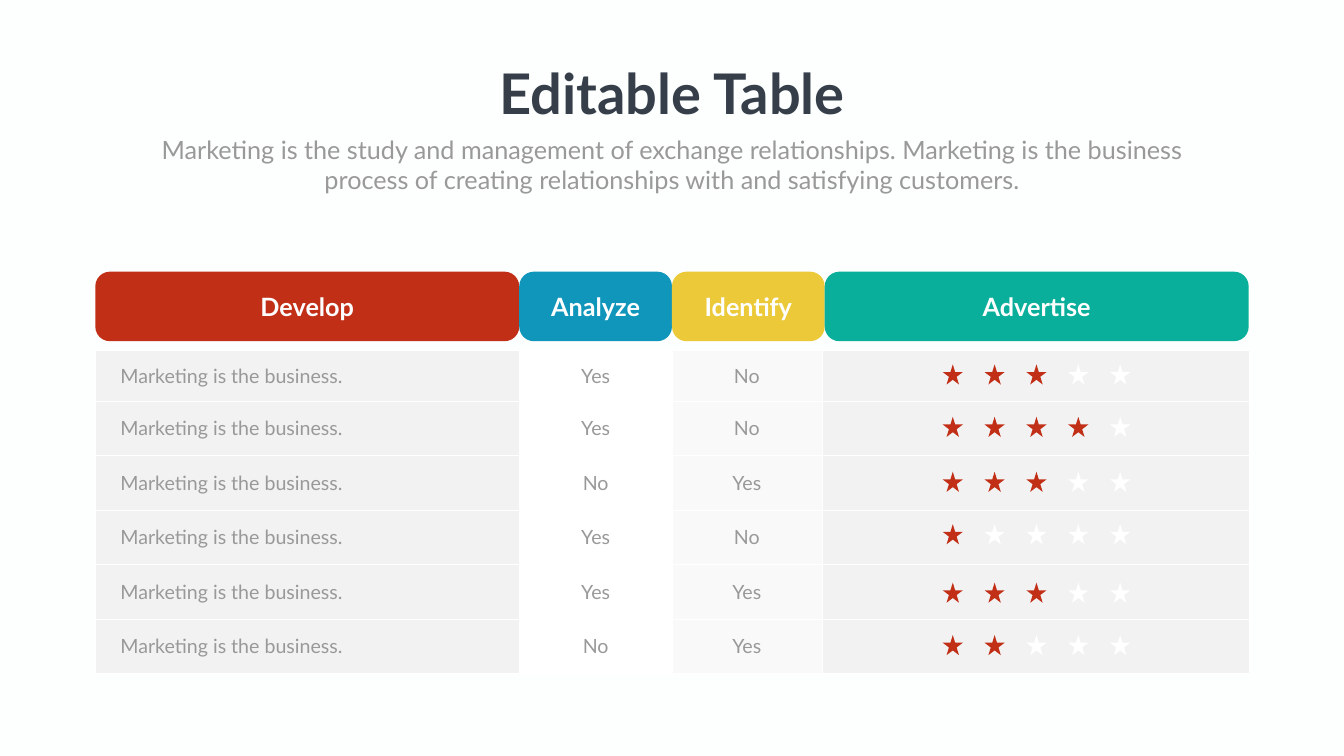
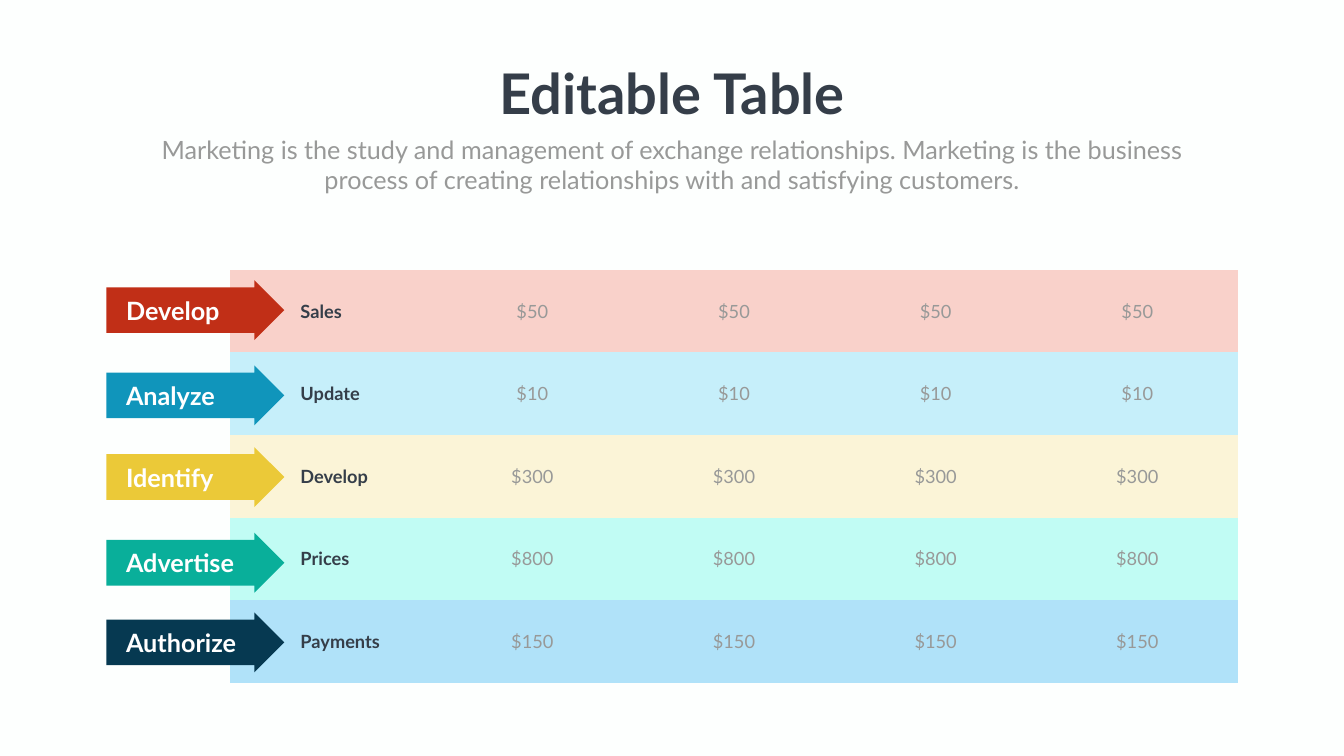
import dataclasses
import lxml.etree
import pptx
import pptx.dml.color
import pptx.enum.shapes
import pptx.enum.text
import pptx.oxml.ns
import pptx.util

Inches = pptx.util.Inches
Align = pptx.enum.text.PP_ALIGN
Shape = pptx.enum.shapes.MSO_SHAPE


@dataclasses.dataclass(frozen=True)
class Theme:
    font: str = "Lato"
    background: str = "FDFFFE"
    dark: str = "353E49"
    gray: str = "989998"
    white: str = "FFFFFF"
    red: str = "C12F17"
    blue: str = "1095BB"
    yellow: str = "EBC938"
    teal: str = "09AF9A"
    navy: str = "063951"
    panel: str = "F2F2F2"
    light_panel: str = "F9F9F9"
    title_size: int = 80
    label_size: int = 36
    rating_size: int = 28
    price_size: int = 26
    plain_table: str = "{2D5ABB26-0587-4C30-8999-92F81FD0307C}"


theme = Theme()


def write(frame, text, size, color, bold=False, align=Align.CENTER):
    paragraph = frame.paragraphs[0]
    paragraph.text = text
    paragraph.alignment = align
    paragraph.space_before = pptx.util.Pt(0)
    paragraph.font.name = theme.font
    paragraph.font.size = pptx.util.Pt(size)
    paragraph.font.bold = bold
    paragraph.font.color.rgb = pptx.dml.color.RGBColor.from_string(color)


def add_filled(slide, kind, left, top, width, height, color):
    shape = slide.shapes.add_shape(
        kind, Inches(left), Inches(top), Inches(width), Inches(height))
    shape.shadow.inherit = False
    shape.fill.solid()
    shape.fill.fore_color.rgb = pptx.dml.color.RGBColor.from_string(color)
    shape.line.fill.background()
    return shape


deck = pptx.Presentation()
deck.slide_width = Inches(26.66)
deck.slide_height = Inches(15)
backdrop = deck.slide_master.background.fill
backdrop.solid()
backdrop.fore_color.rgb = pptx.dml.color.RGBColor.from_string(theme.background)

summary = ("Marketing is the study and management of exchange relationships. "
           "Marketing is the business process of creating relationships with "
           "and satisfying customers.")
features = [
    ("Yes", "No", 3, 7.23),
    ("Yes", "No", 4, 8.27),
    ("No", "Yes", 3, 9.36),
    ("Yes", "No", 1, 10.4),
    ("Yes", "Yes", 3, 11.56),
    ("No", "Yes", 2, 12.6),
]
prices = [
    ("Develop", theme.red, 5.56, "Sales", "$50", "F9D1CA"),
    ("Analyze", theme.blue, 7.25, "Update", "$10", "C6EFFA"),
    ("Identify", theme.yellow, 8.87, "Develop", "$300", "FBF4D7"),
    ("Advertise", theme.teal, 10.57, "Prices", "$800", "C1FCF4"),
    ("Authorize", theme.navy, 12.15, "Payments", "$150", "B0E2F9"),
]
grids = [
    (1.89, 6.94, [8.41, 3.03, 2.97, 8.47], [1.02] + [1.08] * 5),
    (4.56, 5.35, [4] * 5, [1.64] * 5),
]

slides, tables = [], []
for left, top, widths, heights in grids:
    slide = deck.slides.add_slide(deck.slide_layouts[0])
    title, subtitle = slide.placeholders
    for holder, text, size, color, bold, box in [
        (title, "Editable Table", theme.title_size, theme.dark, True, (9.66, 1.12, 7.35, 1.45)),
        (subtitle, summary, theme.label_size, theme.gray, False, (2.92, 2.61, 20.82, 1.31)),
    ]:
        holder.left, holder.top, holder.width, holder.height = map(Inches, box)
        holder.text_frame.auto_size = pptx.enum.text.MSO_AUTO_SIZE.NONE
        holder.text_frame.vertical_anchor = pptx.enum.text.MSO_ANCHOR.TOP
        holder.text_frame.word_wrap = holder is subtitle
        write(holder.text_frame, text, size, color, bold)

    table = slide.shapes.add_table(
        len(heights), len(widths), Inches(left), Inches(top),
        Inches(sum(widths)), Inches(sum(heights))).table
    table.first_row = table.horz_banding = False
    table._tbl.tblPr.find(pptx.oxml.ns.qn("a:tableStyleId")).text = theme.plain_table
    for column, width in zip(table.columns, widths):
        column.width = Inches(width)
    for row, height in zip(table.rows, heights):
        row.height = Inches(height)
    for cell in table.iter_cells():
        cell.vertical_anchor = pptx.enum.text.MSO_ANCHOR.MIDDLE
    slides.append(slide)
    tables.append(table)

feature_slide, price_slide = slides
feature_table, price_table = tables

column_fills = [theme.panel, theme.white, theme.light_panel, theme.panel]
for row, (analyze, identify, rating, star_top) in enumerate(features):
    texts = ["Marketing is the business.", analyze, identify, ""]
    for column, (text, fill) in enumerate(zip(texts, column_fills)):
        cell = feature_table.cell(row, column)
        for side in ("lnL", "lnR", "lnT", "lnB"):
            weight = 1 if column == 0 and side == "lnL" else 0.5
            border = lxml.etree.SubElement(
                cell._tc.get_or_add_tcPr(), pptx.oxml.ns.qn(f"a:{side}"),
                w=str(pptx.util.Pt(weight)))
            paint = lxml.etree.SubElement(border, pptx.oxml.ns.qn("a:solidFill"))
            lxml.etree.SubElement(paint, pptx.oxml.ns.qn("a:srgbClr"), val=theme.white)
        cell.fill.solid()
        cell.fill.fore_color.rgb = pptx.dml.color.RGBColor.from_string(fill)
        if text:
            write(cell.text_frame, text, theme.rating_size, theme.gray,
                  align=Align.CENTER if column else Align.LEFT)
    feature_table.cell(row, 0).margin_left = Inches(0.5)
    for position in range(5):
        add_filled(feature_slide, Shape.STAR_5_POINT, 18.7 + 0.83 * position, star_top,
                   0.4, 0.4, theme.red if position < rating else theme.white)

header_left = 1.89
for (name, color, *_), width in zip(prices, [8.41, 3.03, 3.03, 8.41]):
    header = add_filled(feature_slide, Shape.ROUNDED_RECTANGLE,
                        header_left, 5.39, width, 1.38, color)
    header.adjustments[0] = 0.21
    write(header.text_frame, name, theme.label_size, theme.white, True)
    header_left += width

for row, (name, color, arrow_top, item, price, tint) in enumerate(prices):
    for column, text in enumerate([item] + [price] * 4):
        cell = price_table.cell(row, column)
        cell.fill.solid()
        cell.fill.fore_color.rgb = pptx.dml.color.RGBColor.from_string(tint)
        if column == 0:
            cell.margin_left = Inches(1.4)
            write(cell.text_frame, text, theme.price_size, theme.dark, True, Align.LEFT)
        else:
            write(cell.text_frame, text, theme.price_size, theme.gray)
    arrow = add_filled(price_slide, Shape.RIGHT_ARROW, 2.11, arrow_top, 3.53, 1.19, color)
    arrow.adjustments[0] = 0.76
    arrow.text_frame.margin_left = Inches(0.39)
    arrow.text_frame.margin_top = arrow.text_frame.margin_bottom = 0
    write(arrow.text_frame, name, theme.label_size, theme.white, True, Align.LEFT)

deck.save("out.pptx")
